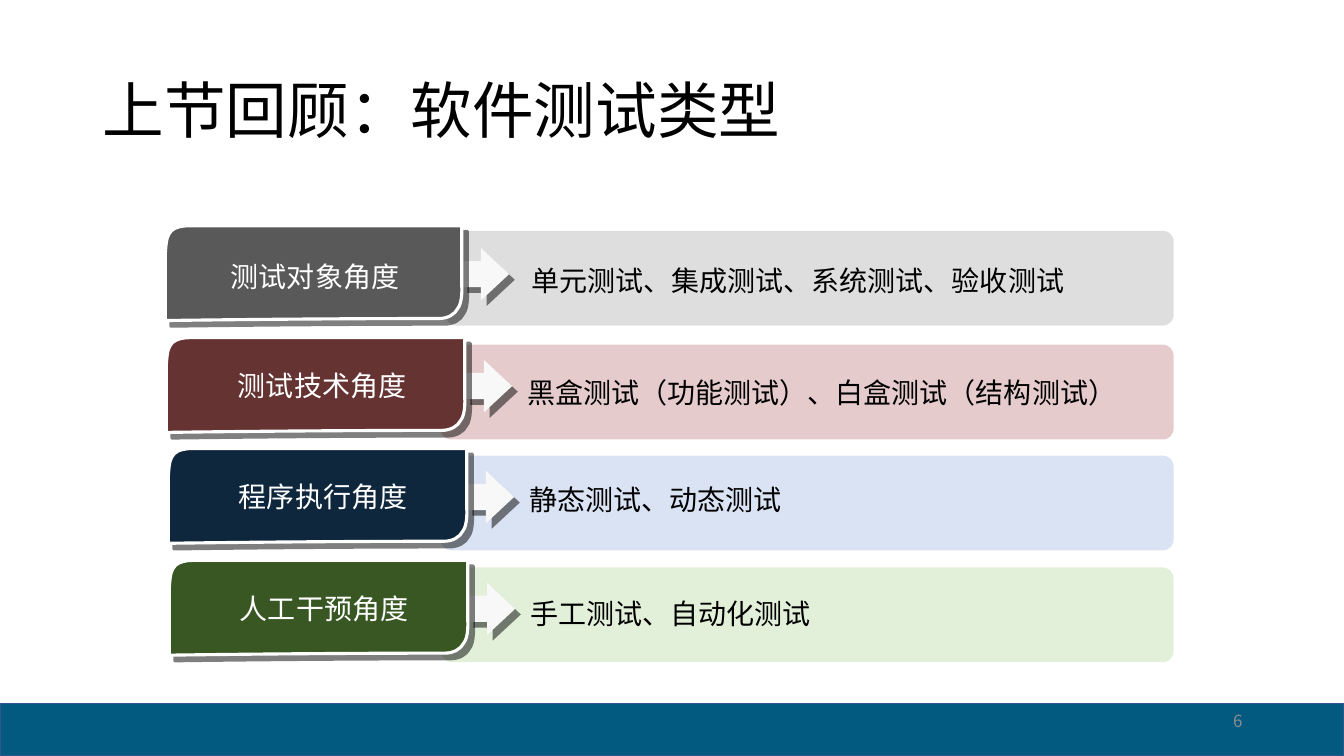
from collections import namedtuple
from dataclasses import dataclass

import lxml.etree
import pptx
import pptx.dml.color
import pptx.enum.shapes
import pptx.enum.text
import pptx.oxml.ns
import pptx.util

Inches = pptx.util.Inches
Shapes = pptx.enum.shapes.MSO_SHAPE
Align = pptx.enum.text.PP_ALIGN
qn = pptx.oxml.ns.qn


@dataclass(frozen=True)
class Theme:
    font: str = "Noto Sans CJK SC"
    title_size: int = 44
    body_size: int = 20
    number_size: int = 12
    ink: str = "000000"
    paper: str = "FFFFFF"
    muted: str = "8C8C8C"
    footer: str = "035A81"
    footer_line: str = "325491"
    arrow: str = "F8F8F8"


THEME = Theme()
Box = namedtuple("Box", "left top width height")
# Offsets are measured from the row's top left corner
Row = namedtuple("Row", "label detail tab_color slab_color alpha box tab_width "
                        "slab_at label_at detail_at detail_width")

ROWS = [
    Row("测试对象角度", "单元测试、集成测试、系统测试、验收测试", "595959", "BFBFBF", 50,
        Box(1.64, 2.24, 10, 0.94), 2.95, (2.78, 0.05), (0.29, 0.28), (3.53, 0.32), 6.03),
    Row("测试技术角度", "黑盒测试（功能测试）、白盒测试（结构测试）", "663333", "CC9999", 50,
        Box(1.65, 3.35, 9.99, 0.94), 2.97, (2.72, 0.07), (0.34, 0.25), (3.48, 0.32), 6.56),
    Row("程序执行角度", "静态测试、动态测试", "0F273D", "DAE3F3", 100,
        Box(1.67, 4.45, 9.97, 0.94), 2.97, (2.70, 0.07), (0.33, 0.25), (3.48, 0.28), 3.66),
    Row("人工干预角度", "手工测试、自动化测试", "385723", "E2F0D9", 100,
        Box(1.68, 5.56, 9.96, 0.94), 2.97, (2.70, 0.07), (0.33, 0.25), (3.48, 0.30), 3.66),
]

# Tab outline: each entry is a line end or the three points of a curve
TAB_WIDTH = 2.97
TAB_START = (0.23, 0)
TAB_OUTLINE = [
    [(2.96, 0)],
    [(2.96, 0), (2.96, 0.3), (2.96, 0.6)],
    [(2.96, 0.6), (2.97, 0.76), (2.92, 0.82)],
    [(2.89, 0.88), (2.82, 0.92), (2.73, 0.92)],
    [(1.35, 0.92), (0, 0.94), (0, 0.94)],
    [(0, 0.27)],
    [(0.01, 0.12), (0.02, 0.1), (0.06, 0.05)],
    [(0.1, 0.01), (0.18, 0), TAB_START],
]


def rgb(color):
    return pptx.dml.color.RGBColor.from_string(color)


def paint(shape, fill, line=None, line_width=1, alpha=100):
    shape.shadow.inherit = False
    shape.fill.solid()
    shape.fill.fore_color.rgb = rgb(fill)
    if alpha < 100:
        color = shape.fill._xPr.find(qn("a:solidFill"))[0]
        lxml.etree.SubElement(color, qn("a:alpha"), val=str(alpha * 1000))
    if line:
        shape.line.color.rgb = rgb(line)
        shape.line.width = pptx.util.Pt(line_width)
    else:
        shape.line.fill.background()


def cast_shadow(shape):
    effects = shape._element.spPr.find(qn("a:effectLst"))
    shadow = lxml.etree.SubElement(
        effects, qn("a:outerShdw"), blurRad="0", dist=str(pptx.util.Pt(5.7)),
        dir=str(45 * 60000), algn="ctr", rotWithShape="0")
    color = lxml.etree.SubElement(shadow, qn("a:srgbClr"), val=THEME.ink)
    lxml.etree.SubElement(color, qn("a:alpha"), val="50000")


def add_shape(parent, kind, box):
    return parent.shapes.add_shape(kind, *map(Inches, box))


def add_text(parent, box, text, size, color, align=Align.LEFT, spacing=None, grow=False):
    frame = parent.shapes.add_textbox(*map(Inches, box)).text_frame
    frame.word_wrap = True
    frame.vertical_anchor = pptx.enum.text.MSO_ANCHOR.MIDDLE
    if grow:
        frame.auto_size = pptx.enum.text.MSO_AUTO_SIZE.SHAPE_TO_FIT_TEXT
    para = frame.paragraphs[0]
    para.alignment = align
    if spacing:
        para.line_spacing = spacing
    span = para.add_run()
    span.text = text
    span.font.name = THEME.font
    span.font.size = pptx.util.Pt(size)
    span.font.color.rgb = rgb(color)
    lxml.etree.SubElement(span.font._element, qn("a:ea"), typeface=THEME.font)


def add_tab(group, box, color):
    def place(point):
        return (Inches(box.left + point[0] * box.width / TAB_WIDTH),
                Inches(box.top + point[1]))

    builder = group.shapes.build_freeform(*place(TAB_START), scale=1.0)
    builder.add_line_segments([place(point) for part in TAB_OUTLINE for point in part])
    tab = builder.convert_to_shape()

    # Join each run of three points into one curve
    segments = iter(list(tab._element.iter(qn("a:lnTo"))))
    for part in TAB_OUTLINE:
        lines = [next(segments) for _ in part]
        if len(lines) == 3:
            curve = lxml.etree.Element(qn("a:cubicBezTo"))
            lines[0].addprevious(curve)
            for line in lines:
                curve.append(line[0])
                line.getparent().remove(line)
    paint(tab, color, THEME.paper, 2.25)
    cast_shadow(tab)


def add_row(page, row):
    group = page.shapes.add_group_shape()
    box = row.box

    def inside(offset, width, height):
        return Box(box.left + offset[0], box.top + offset[1], width, height)

    # Pale slab behind the detail text
    slab_box = inside(row.slab_at, box.width - row.slab_at[0], box.height)
    slab = add_shape(group, Shapes.ROUNDED_RECTANGLE, slab_box)
    slab.adjustments[0] = 0.115
    paint(slab, row.slab_color, alpha=row.alpha)

    # Arrow leading from the tab
    arrow = add_shape(group, Shapes.RIGHT_ARROW,
                      inside((row.tab_width - 0.01, 0.22), 0.47, 0.52))
    arrow.adjustments[1] = 0.594
    paint(arrow, THEME.arrow)
    cast_shadow(arrow)

    # Tab and texts
    add_tab(group, box._replace(width=row.tab_width), row.tab_color)
    add_text(group, inside(row.label_at, row.tab_width - 0.56, 0.44), row.label,
             THEME.body_size, THEME.paper, Align.CENTER, grow=True)
    add_text(group, inside(row.detail_at, row.detail_width, 0.44), row.detail,
             THEME.body_size, THEME.ink, grow=True)


def add_footer(page, box):
    paint(add_shape(page, Shapes.RECTANGLE, box), THEME.footer, THEME.footer_line)
    add_text(page, Box(box.left + 9.42, box.top - 0.03, 3, 0.4), "6",
             THEME.number_size, THEME.muted, Align.RIGHT)


def add_title(page, box):
    add_text(page, box, "上节回顾：软件测试类型", THEME.title_size, THEME.ink, spacing=0.9)


deck = pptx.Presentation()
deck.slide_width, deck.slide_height = Inches(13.33), Inches(7.5)
page = deck.slides.add_slide(deck.slide_layouts[6])
add_footer(page, Box(0, 6.98, 13.33, 0.52))
add_title(page, Box(0.92, 0.4, 11.5, 1.45))
for row in ROWS:
    add_row(page, row)
deck.save("out.pptx")
